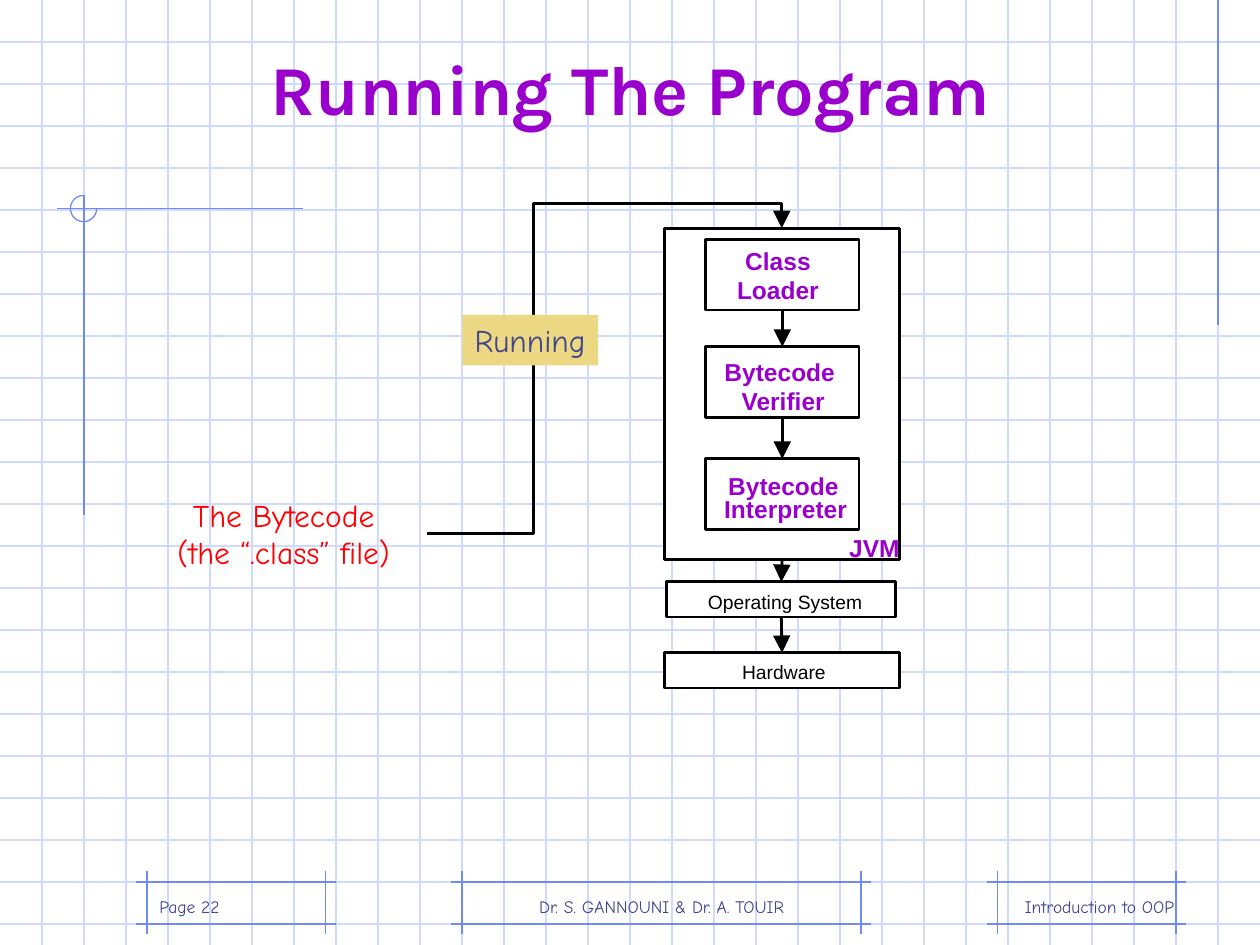
import pptx
import pptx.dml.color
import pptx.enum.shapes
import pptx.enum.text
import pptx.oxml
import pptx.oxml.ns
import pptx.util

Cm = pptx.util.Cm
RGBColor = pptx.dml.color.RGBColor
Shape = pptx.enum.shapes.MSO_SHAPE
Align = pptx.enum.text.PP_ALIGN
Anchor = pptx.enum.text.MSO_ANCHOR

PALE_BLUE = RGBColor(0xCF, 0xDB, 0xFD)
BLUE = RGBColor(0x6F, 0x89, 0xF7)
NAVY = RGBColor(0x40, 0x45, 0x8C)
PURPLE = RGBColor(0x99, 0x00, 0xCC)
RED = RGBColor(0xFF, 0x00, 0x00)
SAND = RGBColor(0xEC, 0xD8, 0x82)
BLACK = RGBColor(0x00, 0x00, 0x00)
WHITE = RGBColor(0xFF, 0xFF, 0xFF)

WIDTH, HEIGHT = 25.4, 19.05
GRID = WIDTH / 30
THIN, THICK = 0.75, 1.62
TOP, BOTTOM = 0, 2


class SlideBuilder:
    """Holds the style and the current slide."""

    body_font = "Comic Neue"
    title_font = "Karla"
    diagram_font = "Arial"
    padding = (0.25, 0.13)

    def __init__(self, page):
        self.page = page

    def fill_text(self, shape, lines, font, size, color, bold=False,
                  align=Align.LEFT, anchor=Anchor.TOP, padding=(0, 0),
                  wrap=False):
        frame = shape.text_frame
        frame.auto_size = pptx.enum.text.MSO_AUTO_SIZE.NONE
        frame.word_wrap = wrap
        frame.vertical_anchor = anchor
        frame.margin_left = frame.margin_right = Cm(padding[0])
        frame.margin_top = frame.margin_bottom = Cm(padding[1])
        for index, line in enumerate(lines):
            para = frame.add_paragraph() if index else frame.paragraphs[0]
            para.alignment = align
            span = para.add_run()
            span.text = line
            span.font.name = font
            span.font.size = pptx.util.Pt(size)
            span.font.bold = bold
            span.font.color.rgb = color

    def title(self, text, left, top, width, height):
        shape = self.page.shapes.title
        shape.left, shape.top = Cm(left), Cm(top)
        shape.width, shape.height = Cm(width), Cm(height)
        self.fill_text(shape, [text], self.title_font, 40, PURPLE, bold=True,
                       align=Align.CENTER, anchor=Anchor.BOTTOM,
                       padding=self.padding, wrap=True)
        # Bring the title in front of the grid
        shape.element.getparent().append(shape.element)

    def text(self, lines, left, top, width, height, *style, **options):
        shape = self.page.shapes.add_textbox(
            Cm(left), Cm(top), Cm(width), Cm(height))
        self.fill_text(shape, lines, *style, **options)

    def label(self, lines, left, top, width, height, size=14, color=PURPLE,
              bold=True, align=Align.LEFT):
        self.text(lines, left, top, width, height, self.diagram_font, size,
                  color, bold=bold, align=align)

    def box(self, left, top, width, height, fill=WHITE, outline=BLACK):
        shape = self.page.shapes.add_shape(
            Shape.RECTANGLE, Cm(left), Cm(top), Cm(width), Cm(height))
        shape.shadow.inherit = False
        shape.fill.solid()
        shape.fill.fore_color.rgb = fill
        if outline is None:
            shape.line.fill.background()
        else:
            self.stroke(shape, outline, THICK)
        return shape

    def stroke(self, shape, color, weight):
        shape.line.color.rgb = color
        shape.line.width = pptx.util.Pt(weight)

    def line(self, x1, y1, x2, y2, color=BLUE, weight=THIN):
        connector = self.page.shapes.add_connector(
            pptx.enum.shapes.MSO_CONNECTOR.STRAIGHT,
            Cm(x1), Cm(y1), Cm(x2), Cm(y2))
        self.stroke(connector, color, weight)
        connector.element.spPr.append(pptx.oxml.parse_xml(
            "<a:effectLst %s/>" % pptx.oxml.ns.nsdecls("a")))
        return connector

    def arrowhead(self, shape):
        outline = shape.element.spPr.find(pptx.oxml.ns.qn("a:ln"))
        outline.append(pptx.oxml.parse_xml(
            '<a:tailEnd %s type="triangle" w="lg" len="lg"/>'
            % pptx.oxml.ns.nsdecls("a")))

    def arrow(self, upper, lower):
        connector = self.line(0, 0, 1, 1, BLACK, THICK)
        connector.begin_connect(upper, BOTTOM)
        connector.end_connect(lower, TOP)
        self.arrowhead(connector)

    def bent_arrow(self, points):
        (x, y), *rest = [(Cm(x), Cm(y)) for x, y in points]
        outline = self.page.shapes.build_freeform(x, y)
        outline.add_line_segments(rest, close=False)
        shape = outline.convert_to_shape()
        shape.shadow.inherit = False
        shape.fill.background()
        self.stroke(shape, BLACK, THICK)
        self.arrowhead(shape)

    def arc(self, left, top, size):
        shape = self.page.shapes.add_shape(
            Shape.ARC, Cm(left), Cm(top), Cm(size), Cm(size))
        shape.shadow.inherit = False
        shape.adjustments[0] = 0
        shape.adjustments[1] = 162  # 270 degrees
        shape.fill.background()
        self.stroke(shape, BLUE, THIN)

    def footer_frame(self, left, right):
        """Crossing guide lines around a footer, in grid units."""
        for y in (21, 22):
            self.line((left - 0.25) * GRID, y * GRID,
                      (right + 0.25) * GRID, y * GRID)
        for x in (left, right):
            self.line(x * GRID, 20.75 * GRID, x * GRID, 22.25 * GRID)

    def footer(self, text, left, width, align):
        self.text([text], left * GRID, 20.5 * GRID, width * GRID, 1.5 * GRID,
                  self.body_font, 10, NAVY, align=align, anchor=Anchor.BOTTOM,
                  padding=self.padding, wrap=True)


def main():
    deck = pptx.Presentation()
    deck.slide_width, deck.slide_height = Cm(WIDTH), Cm(HEIGHT)
    slide = SlideBuilder(deck.slides.add_slide(deck.slide_layouts[5]))

    # Squared paper
    for row in range(1, 23):
        slide.line(0, row * GRID, WIDTH, row * GRID, PALE_BLUE)
    for column in range(1, 30):
        slide.line(column * GRID, 0, column * GRID, HEIGHT, PALE_BLUE)

    # Guide lines
    for left, right in ((11, 20.5), (23.75, 28), (3.5, 7.75)):
        slide.footer_frame(left, right)
    slide.line(29 * GRID, 0, 29 * GRID, 7.75 * GRID)
    slide.line(6.1, 4.21, 1.14, 4.21)
    slide.line(2 * GRID, 3.94, 2 * GRID, 10.39)
    slide.arc(1.42, 3.94, 0.53)

    # Footers and title
    slide.footer("Introduction to OOP", 22, 6.25, Align.RIGHT)
    slide.footer("Dr. S. GANNOUNI & Dr. A. TOUIR", 11, 9.5, Align.CENTER)
    slide.footer("Page 22", 3.5, 6.25, Align.LEFT)
    slide.title("Running The Program", 0, 0.42, WIDTH, 2.33)

    # Virtual machine, its stages, and the layers below
    machine = slide.box(13.39, 4.6, 4.75, 6.68)
    loader, verifier, interpreter = [
        slide.box(14.22, top, 3.1, 1.42) for top in (4.83, 6.99, 9.25)]
    system = slide.box(13.44, 11.73, 4.62, 0.71)
    hardware = slide.box(13.39, 13.16, 4.75, 0.71)

    # Labels
    slide.label(["Class", "Loader"], 14.86, 4.95, 1.65, 1.19,
                align=Align.CENTER)
    slide.label(["Bytecode", " Verifier"], 14.6, 7.19, 2.24, 1.19,
                align=Align.CENTER)
    slide.label(["Bytecode"], 14.68, 9.5, 2.24, 0.58)
    slide.label(["Interpreter"], 14.6, 9.96, 2.49, 0.58)
    slide.label(["JVM"], 17.12, 10.74, 1.02, 0.58)
    slide.label(["Operating System"], 14.27, 11.89, 3.12, 0.46, 11, BLACK, False)
    slide.label(["Hardware"], 14.96, 13.31, 1.7, 0.46, 11, BLACK, False)

    # Flow
    slide.bent_arrow([(8.61, 10.76), (10.76, 10.76), (10.76, 4.11),
                      (15.76, 4.11), (15.76, 4.6)])
    for upper, lower in ((loader, verifier), (verifier, interpreter),
                         (machine, system), (system, hardware)):
        slide.arrow(upper, lower)

    # Bytecode file and the running step
    slide.text(["The Bytecode", "(the “.class” file)"], 3.33, 9.86, 4.78, 1.78,
               slide.body_font, 18, RED, align=Align.CENTER,
               padding=slide.padding)
    running = slide.box(9.32, 6.35, 2.74, 1.02, SAND, None)
    slide.fill_text(running, ["Running"], slide.body_font, 18, NAVY,
                    padding=slide.padding)

    deck.save("out.pptx")


if __name__ == "__main__":
    main()
